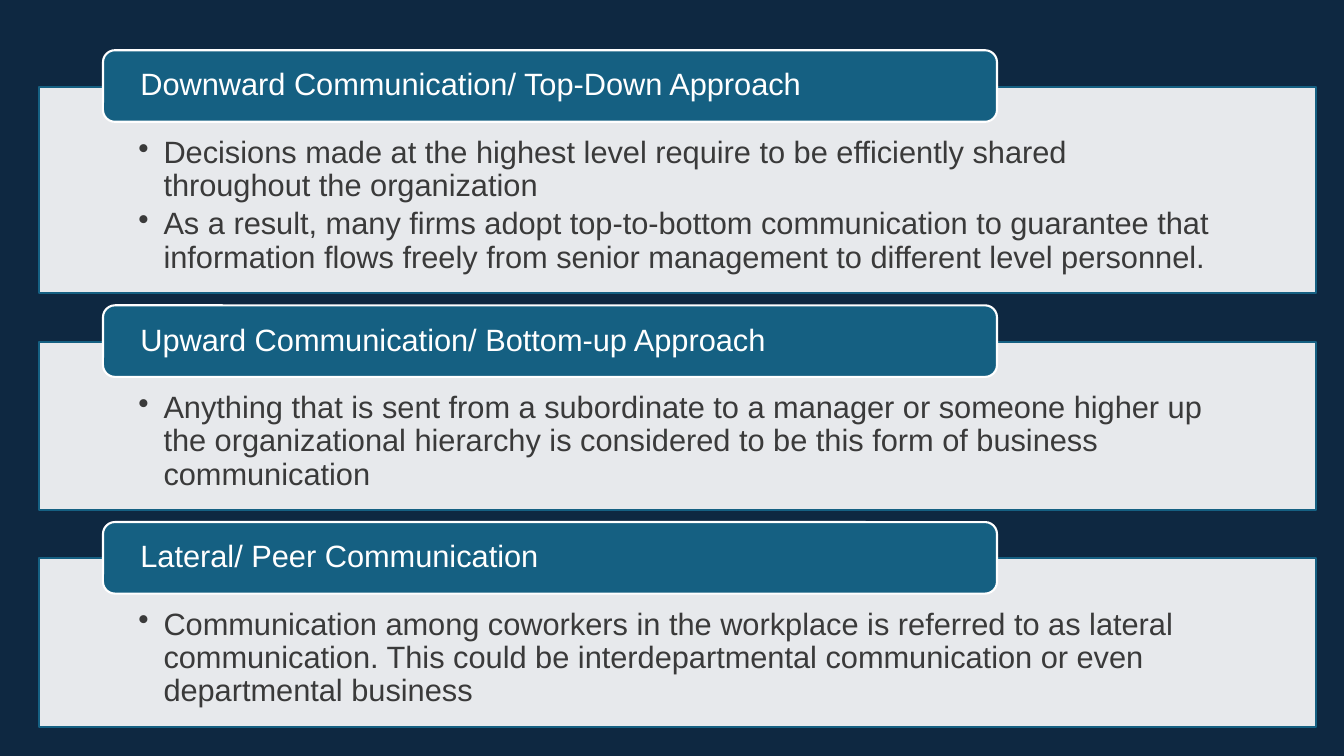
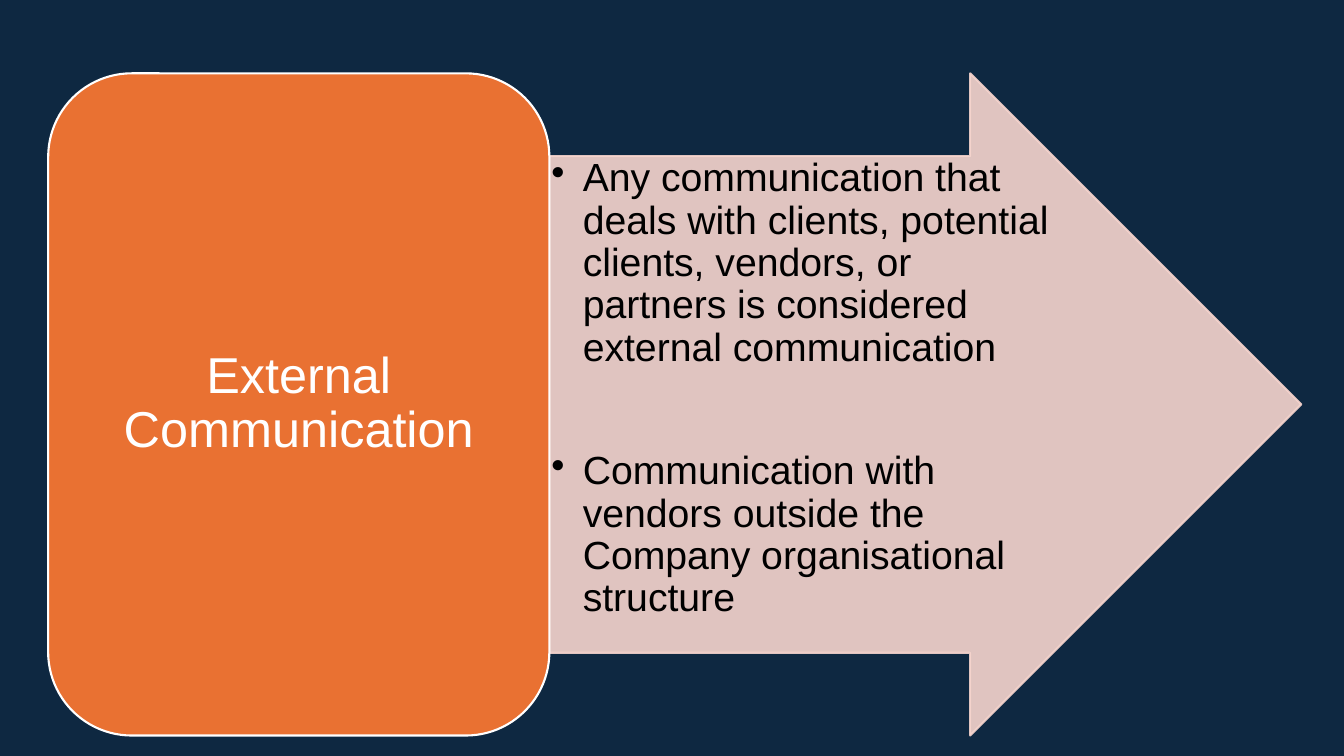
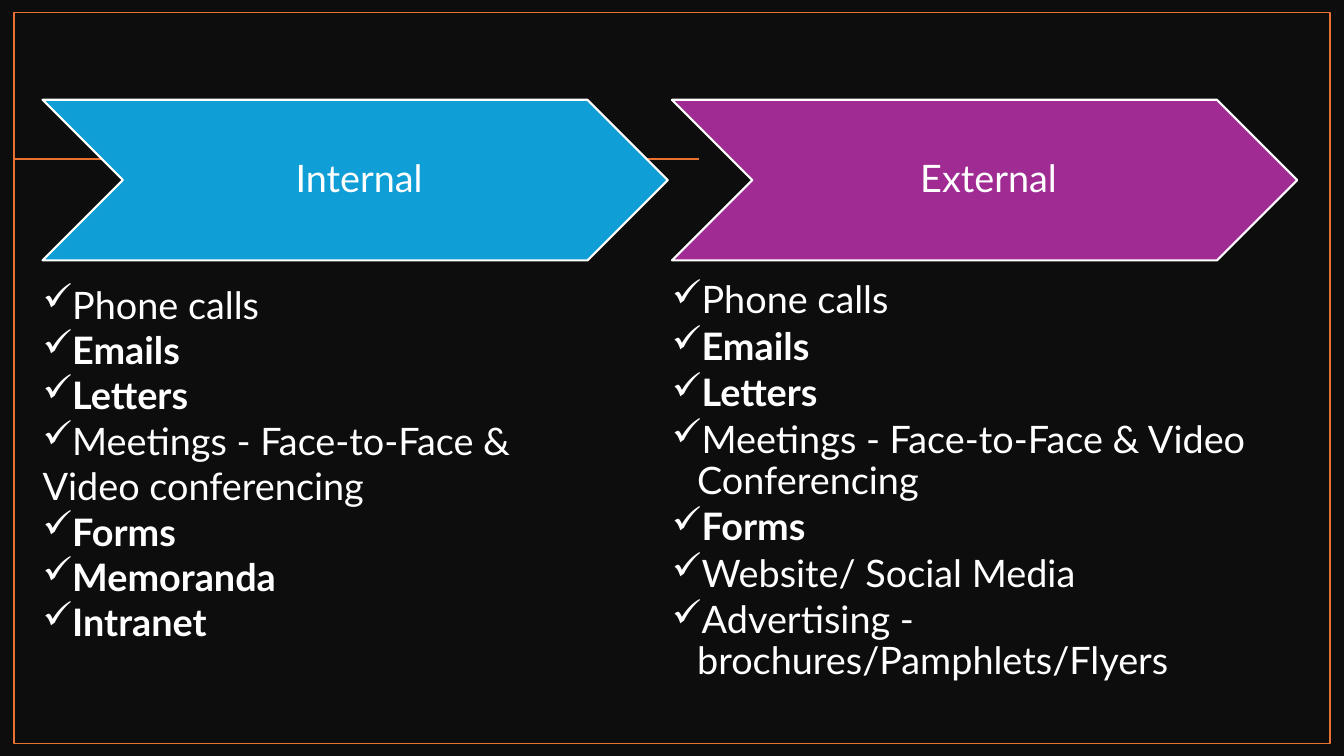
from lxml import etree
from pptx import Presentation
from pptx.dml.color import RGBColor
from pptx.enum import shapes, text
from pptx.oxml import ns
from pptx.util import Pt

NAVY = RGBColor(0x0E, 0x28, 0x41)
BLACK = RGBColor(0x00, 0x00, 0x00)
NIGHT = RGBColor(0x0D, 0x0D, 0x0D)
WHITE = RGBColor(0xFF, 0xFF, 0xFF)
TEAL = RGBColor(0x15, 0x60, 0x82)
GRAY = RGBColor(0x3A, 0x3A, 0x3A)
ORANGE = RGBColor(0xE9, 0x71, 0x32)
BLUSH = RGBColor(0xF7, 0xD5, 0xCE)
BLUE = RGBColor(0x0F, 0x9E, 0xD5)
PURPLE = RGBColor(0xA0, 0x2B, 0x93)

SHAPE = shapes.MSO_SHAPE
TOP, MIDDLE = text.MSO_ANCHOR.TOP, text.MSO_ANCHOR.MIDDLE
LEFT, CENTER = text.PP_ALIGN.LEFT, text.PP_ALIGN.CENTER

DIRECTIONS = [
    ("Downward Communication/ Top-Down Approach", 147.6, [
        "Decisions made at the highest level require to be efficiently shared "
        "throughout the organization",
        "As a result, many firms adopt top-to-bottom communication to guarantee that "
        "information flows freely from senior management to different level personnel.",
    ]),
    ("Upward Communication/ Bottom-up Approach", 120.2, [
        "Anything that is sent from a subordinate to a manager or someone higher up "
        "the organizational hierarchy is considered to be this form of business "
        "communication",
    ]),
    ("Lateral/ Peer Communication", 120.2, [
        "Communication among coworkers in the workplace is referred to as lateral "
        "communication. This could be interdepartmental communication or even "
        "departmental business",
    ]),
]
EXTERNAL_POINTS = [
    "Any communication that deals with clients, potential clients, vendors, or "
    "partners is considered external communication",
    "Communication with vendors outside the Company organisational structure",
]
INTERNAL_CHANNELS = [
    "Phone calls", "Emails", "Letters",
    "Meetings - Face-to-Face & Video conferencing",
    "Forms", "Memoranda", "Intranet",
]
EXTERNAL_CHANNELS = [
    "Phone calls", "Emails", "Letters",
    "Meetings - Face-to-Face & Video Conferencing",
    "Forms", "Website/ Social Media",
    "Advertising - brochures/Pamphlets/Flyers",
]
BOLD_CHANNELS = {"Emails", "Letters", "Forms", "Memoranda", "Intranet"}


def add_slide(deck, color):
    slide = deck.slides.add_slide(deck.slide_layouts[6])
    slide.background.fill.solid()
    slide.background.fill.fore_color.rgb = color
    return slide


def add_block(slide, kind, box, fill, line, width=1.5):
    block = slide.shapes.add_shape(kind, *map(Pt, box))
    block.shadow.inherit = False
    if fill is None:
        block.fill.background()
    else:
        block.fill.solid()
        block.fill.fore_color.rgb = fill
    block.line.color.rgb = line
    block.line.width = Pt(width)
    return block


def set_opacity(holder, percent):
    for color in holder.iter(ns.qn("a:srgbClr")):
        etree.SubElement(color, ns.qn("a:alpha"), val=str(percent * 1000))


def add_bullet(paragraph, mark, indent):
    properties = paragraph._p.get_or_add_pPr()
    properties.set("marL", str(Pt(indent)))
    properties.set("indent", str(-Pt(indent)))
    etree.SubElement(properties, ns.qn("a:buChar"), char=mark)


def write(holder, lines, size, color, insets, font="Arial", anchor=TOP, align=LEFT,
          spacing=0.9, after=0, mark=None, indent=0, bold=()):
    frame = holder.text_frame
    frame.word_wrap = True
    frame.vertical_anchor = anchor
    frame.margin_left, frame.margin_top, frame.margin_right, frame.margin_bottom = map(Pt, insets)
    frame.text = "\n".join(lines)
    for paragraph in frame.paragraphs:
        if mark:
            add_bullet(paragraph, mark, indent)
        paragraph.alignment = align
        paragraph.line_spacing = spacing
        paragraph.space_after = Pt(after)
        for run in paragraph.runs:
            run.font.name = font
            run.font.size = Pt(size)
            run.font.color.rgb = color
            run.font.bold = run.text in bold


def add_direction(slide, top, height, heading, points):
    panel = add_block(slide, SHAPE.RECTANGLE, (28, top, 912.2, height), WHITE, TEAL)
    set_opacity(panel.fill._xPr.find(ns.qn("a:solidFill")), 90)
    write(panel, points, 22, GRAY, (70.8, 36, 70.8, 12), after=3.3, mark="•", indent=18)
    header = add_block(slide, SHAPE.ROUNDED_RECTANGLE, (73.6, top - 26, 638.6, 51.1), TEAL, WHITE)
    write(header, [heading], 22, WHITE, (24.2, 0, 24.2, 0), anchor=MIDDLE)


def add_channel_header(slide, left, label, color):
    chevron = add_block(slide, SHAPE.CHEVRON, (left, 71.3, 446.6, 114.7), color, WHITE)
    write(chevron, [label], 27, WHITE, (8.6, 3, 3, 3), font="Lato", anchor=MIDDLE, align=CENTER)


def add_channel_list(slide, left, width, channels, **layout):
    checklist = slide.shapes.add_textbox(Pt(left), Pt(200.9), Pt(width), Pt(300.2))
    write(checklist, channels, 27, WHITE, (0, 0, 0, 0), font="Lato", mark="✓",
          bold=BOLD_CHANNELS, **layout)


def add_rule(slide, start, end, y, color):
    rule = slide.shapes.add_connector(shapes.MSO_CONNECTOR.STRAIGHT, Pt(start), Pt(y), Pt(end), Pt(y))
    rule.line.color.rgb = color
    rule.line.width = Pt(1)
    etree.SubElement(rule._element.spPr, ns.qn("a:effectLst"))


def build_directions(deck):
    slide = add_slide(deck, NAVY)
    top = 61.9
    for heading, height, points in DIRECTIONS:
        add_direction(slide, top, height, heading, points)
        top += height + 34.6


def build_external(deck):
    slide = add_slide(deck, NAVY)
    arrow = add_block(slide, SHAPE.RIGHT_ARROW, (392.4, 52.4, 537.1, 473), BLUSH, BLUSH)
    arrow.adjustments[0] = 0.75
    arrow.adjustments[1] = 0.5
    set_opacity(arrow._element.spPr, 90)
    write(arrow, EXTERNAL_POINTS, 28, BLACK, (1.4, 1.4, 1.4, 1.4), after=58, mark="•", indent=22.5)
    topic = add_block(slide, SHAPE.ROUNDED_RECTANGLE, (34.4, 52.4, 358, 473), ORANGE, WHITE)
    write(topic, ["External Communication"], 36, WHITE, (10.8, 5.4, 10.8, 5.4),
          anchor=MIDDLE, align=CENTER)


def build_channels(deck):
    slide = add_slide(deck, NIGHT)
    add_rule(slide, 499, 10, 113.5, ORANGE)
    add_block(slide, SHAPE.RECTANGLE, (10, 9, 940.2, 522.3), None, ORANGE, 1)
    internal, external = 30.4, 480
    add_channel_header(slide, internal, "Internal", BLUE)
    add_channel_list(slide, internal, 357.1, INTERNAL_CHANNELS, spacing=1.0)
    add_channel_header(slide, external, "External", PURPLE)
    add_channel_list(slide, external, 444.2, EXTERNAL_CHANNELS, after=4, indent=18)


def main():
    deck = Presentation()
    deck.slide_width, deck.slide_height = Pt(960), Pt(540)
    build_directions(deck)
    build_external(deck)
    build_channels(deck)
    deck.save("out.pptx")


if __name__ == "__main__":
    main()
